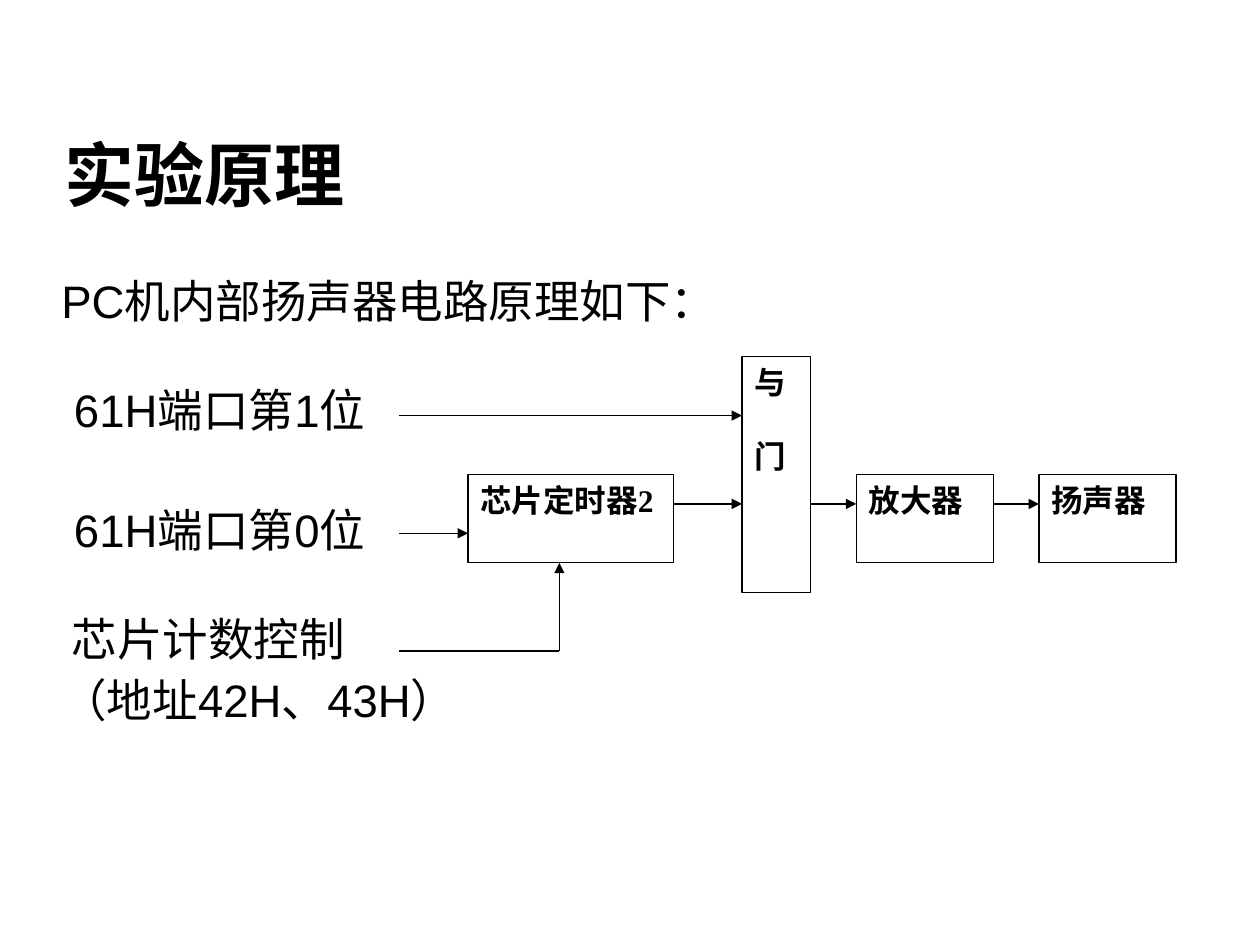
"""Build the slide on the PC speaker circuit."""
from typing import NamedTuple

from lxml import etree
from pptx import Presentation
from pptx import util as u
from pptx.dml import color
from pptx.enum import shapes, text
from pptx.oxml import ns

BLACK, WHITE = "000000", "FFFFFF"
GRID_LEFT, GRID_TOP = 228.3, 203.8
COLUMN, ROW = 13.05, 16.83


class Line(NamedTuple):
    words: str
    space_before: float = 0


class Block(NamedTuple):
    column: int
    row: int
    columns: int
    rows: int
    lines: tuple[Line, ...]


class Wire(NamedTuple):
    start: tuple[int, int]
    end: tuple[int, int]
    arrow: bool = True


BODY = (
    Line("PC机内部扬声器电路原理如下："),
    Line(" 61H端口第1位", 34.5),
    Line(" 61H端口第0位", 40.5),
    Line(" 芯片计数控制", 34),
    Line("（地址42H、43H）", 6.5),
)
BLOCKS = (
    Block(3, 4, 9, 3, (Line("芯片定时器2"),)),
    Block(20, 4, 6, 3, (Line("放大器"),)),
    Block(15, 0, 3, 8, (Line("与"), Line("门", 21))),
    Block(28, 4, 6, 3, (Line("扬声器"),)),
)
WIRES = (
    Wire((0, 2), (15, 2)),
    Wire((12, 5), (15, 5)),
    Wire((18, 5), (20, 5)),
    Wire((26, 5), (28, 5)),
    Wire((0, 10), (7, 10), arrow=False),
    Wire((7, 10), (7, 7)),
    Wire((0, 6), (3, 6)),
)


def rgb(value: str) -> color.RGBColor:
    """Turn a hex string into a colour."""
    return color.RGBColor.from_string(value)


def grid_point(column: int, row: int) -> tuple[int, int]:
    """Give the slide position of a diagram grid point."""
    return u.Pt(GRID_LEFT + column * COLUMN), u.Pt(GRID_TOP + row * ROW)


def write(shape, lines: tuple[Line, ...], font: str, size: float, bold: bool = False,
          alignment=text.PP_ALIGN.LEFT, spacing: float = 1.0) -> None:
    """Fill a shape with formatted lines of text."""
    frame = shape.text_frame
    frame.word_wrap = True
    frame.text = "\n".join(line.words for line in lines)
    for paragraph, line in zip(frame.paragraphs, lines):
        paragraph.alignment = alignment
        paragraph.line_spacing = spacing
        paragraph.space_before = u.Pt(line.space_before)
        for run in paragraph.runs:
            run.font.name = font
            run.font.size = u.Pt(size)
            run.font.bold = bold
            run.font.color.rgb = rgb(BLACK)


def draw_block(slide, block: Block) -> None:
    """Draw one labelled rectangle of the circuit."""
    left, top = grid_point(block.column, block.row)
    shape = slide.shapes.add_shape(
        shapes.MSO_SHAPE.RECTANGLE, left, top,
        u.Pt(block.columns * COLUMN), u.Pt(block.rows * ROW))
    shape.shadow.inherit = False
    shape.fill.solid()
    shape.fill.fore_color.rgb = rgb(WHITE)
    shape.line.color.rgb = rgb(BLACK)
    shape.line.width = u.Pt(0.75)
    shape.text_frame.vertical_anchor = text.MSO_ANCHOR.TOP
    write(shape, block.lines, "Times New Roman", 18, True, text.PP_ALIGN.JUSTIFY)


def draw_wire(slide, wire: Wire) -> None:
    """Draw one straight wire, with an arrowhead where asked."""
    connector = slide.shapes.add_connector(
        shapes.MSO_CONNECTOR.STRAIGHT, *grid_point(*wire.start), *grid_point(*wire.end))
    connector.line.color.rgb = rgb(BLACK)
    connector.line.width = u.Pt(0.75)
    if wire.arrow:
        etree.SubElement(connector.line._get_or_add_ln(), ns.qn("a:tailEnd"), type="triangle")
    etree.SubElement(connector._element.spPr, ns.qn("a:effectLst"))


def main() -> None:
    """Build and save the presentation."""
    presentation = Presentation()
    presentation.slide_width, presentation.slide_height = u.Pt(720), u.Pt(540)
    slide = presentation.slides.add_slide(presentation.slide_layouts[6])

    title = slide.shapes.add_textbox(u.Pt(30), u.Pt(54), u.Pt(648), u.Pt(90))
    title.text_frame.vertical_anchor = text.MSO_ANCHOR.MIDDLE
    write(title, (Line("实验原理"),), "Arial", 40, bold=True)

    body = slide.shapes.add_textbox(u.Pt(28), u.Pt(156), u.Pt(584), u.Pt(270))
    write(body, BODY, "Arial", 26, spacing=0.9)

    for block in BLOCKS:
        draw_block(slide, block)
    for wire in WIRES:
        draw_wire(slide, wire)
    presentation.save("out.pptx")


if __name__ == "__main__":
    main()
